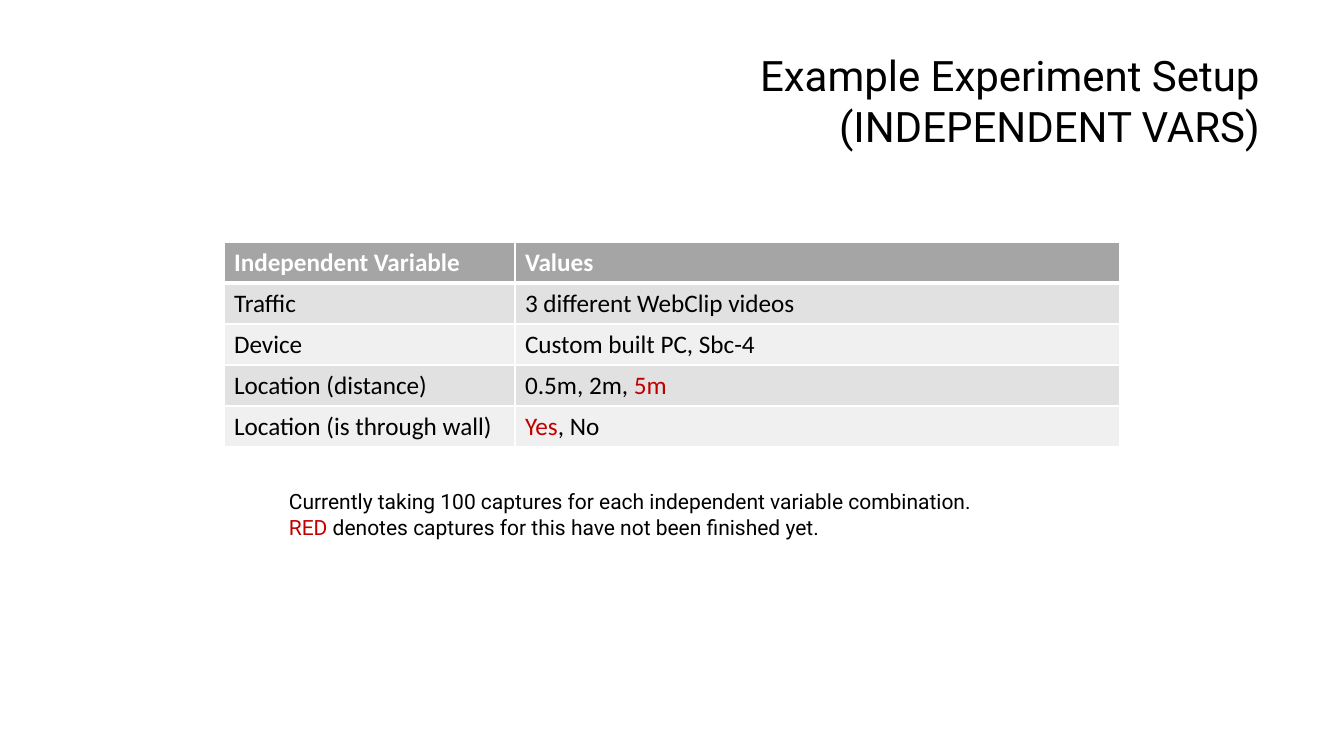
from lxml.etree import SubElement
from pptx import Presentation
from pptx.dml.color import RGBColor
from pptx.enum.text import PP_ALIGN
from pptx.oxml.ns import qn
from pptx.util import Pt

PX = 9071.43  # EMU in one px

BLACK = RGBColor(0x00, 0x00, 0x00)
WHITE = RGBColor(0xFF, 0xFF, 0xFF)
RED = RGBColor(0xC0, 0x00, 0x00)
HEADER_GRAY = RGBColor(0xA5, 0xA5, 0xA5)
BAND_GRAYS = (RGBColor(0xE1, 0xE1, 0xE1), RGBColor(0xF0, 0xF0, 0xF0))

TITLE_FORMAT = {"name": "Roboto", "size": Pt(30)}
NOTE_FORMAT = {"name": "Roboto", "size": Pt(15)}
HEADER_FORMAT = {"name": "Calibri", "size": Pt(18), "bold": True}
BODY_FORMAT = {"name": "Calibri", "size": Pt(18), "bold": False}

# A line of text is a list of (words, colour) spans
TITLE = [
    [("Example Experiment Setup", BLACK)],
    [("(INDEPENDENT VARS)", BLACK)],
]
NOTE = [
    [("Currently taking 100 captures for each independent variable combination.", BLACK)],
    [("RED", RED), (" denotes captures for this have not been finished yet.", BLACK)],
]
VARIABLES = [
    ([("Independent Variable", WHITE)], [("Values", WHITE)]),
    ([("Traffic", BLACK)], [("3 different WebClip videos", BLACK)]),
    ([("Device", BLACK)], [("Custom built PC, Sbc-4", BLACK)]),
    ([("Location (distance)", BLACK)], [("0.5m, 2m, ", BLACK), ("5m", RED)]),
    ([("Location (is through wall)", BLACK)], [("Yes", RED), (", No", BLACK)]),
]
COLUMN_WIDTHS = (291, 605)
ROW_HEIGHT = 41


def px(length):
    return round(length * PX)


def write_line(para, spans, text_format):
    for words, color in spans:
        span = para.add_run()
        span.text = words
        for name, value in text_format.items():
            setattr(span.font, name, value)
        span.font.color.rgb = color


def add_text(page, left, top, width, height, lines, text_format,
             align=PP_ALIGN.LEFT, wrap=True):
    box = page.shapes.add_textbox(px(left), px(top), px(width), px(height))
    frame = box.text_frame
    frame.word_wrap = wrap
    for index, spans in enumerate(lines):
        para = frame.add_paragraph() if index else frame.paragraphs[0]
        para.alignment = align
        write_line(para, spans, text_format)


def set_borders(cell, widths):
    properties = cell._tc.get_or_add_tcPr()
    for side, width in widths.items():
        line = SubElement(properties, qn(f"a:ln{side}"), w=str(Pt(width)))
        fill = SubElement(line, qn("a:solidFill"))
        SubElement(fill, qn("a:srgbClr"), val=str(WHITE))


def add_variable_table(page, left, top):
    frame = page.shapes.add_table(
        len(VARIABLES), len(COLUMN_WIDTHS), px(left), px(top),
        px(sum(COLUMN_WIDTHS)), px(ROW_HEIGHT * len(VARIABLES)))
    table = frame.table
    for column, width in zip(table.columns, COLUMN_WIDTHS):
        column.width = px(width)
    for row_index, row in enumerate(VARIABLES):
        is_header = row_index == 0
        gray = HEADER_GRAY if is_header else BAND_GRAYS[(row_index - 1) % 2]
        # The rule under the header is thicker
        widths = {"L": 1, "R": 1, "T": 3 if row_index == 1 else 1,
                  "B": 3 if is_header else 1}
        for column_index, spans in enumerate(row):
            cell = table.cell(row_index, column_index)
            set_borders(cell, widths)
            cell.fill.solid()
            cell.fill.fore_color.rgb = gray
            write_line(cell.text_frame.paragraphs[0], spans,
                       HEADER_FORMAT if is_header else BODY_FORMAT)


def main():
    deck = Presentation()
    deck.slide_width, deck.slide_height = px(1344), px(756)
    page = deck.slides.add_slide(deck.slide_layouts[6])

    # Title
    add_text(page, 734, 45, 536, 112, TITLE, TITLE_FORMAT, align=PP_ALIGN.RIGHT)
    # Note below the table
    add_text(page, 279, 484, 713, 61, NOTE, NOTE_FORMAT, wrap=False)
    # Independent variables and their values
    add_variable_table(page, 224, 242)

    deck.save("out.pptx")


if __name__ == "__main__":
    main()
